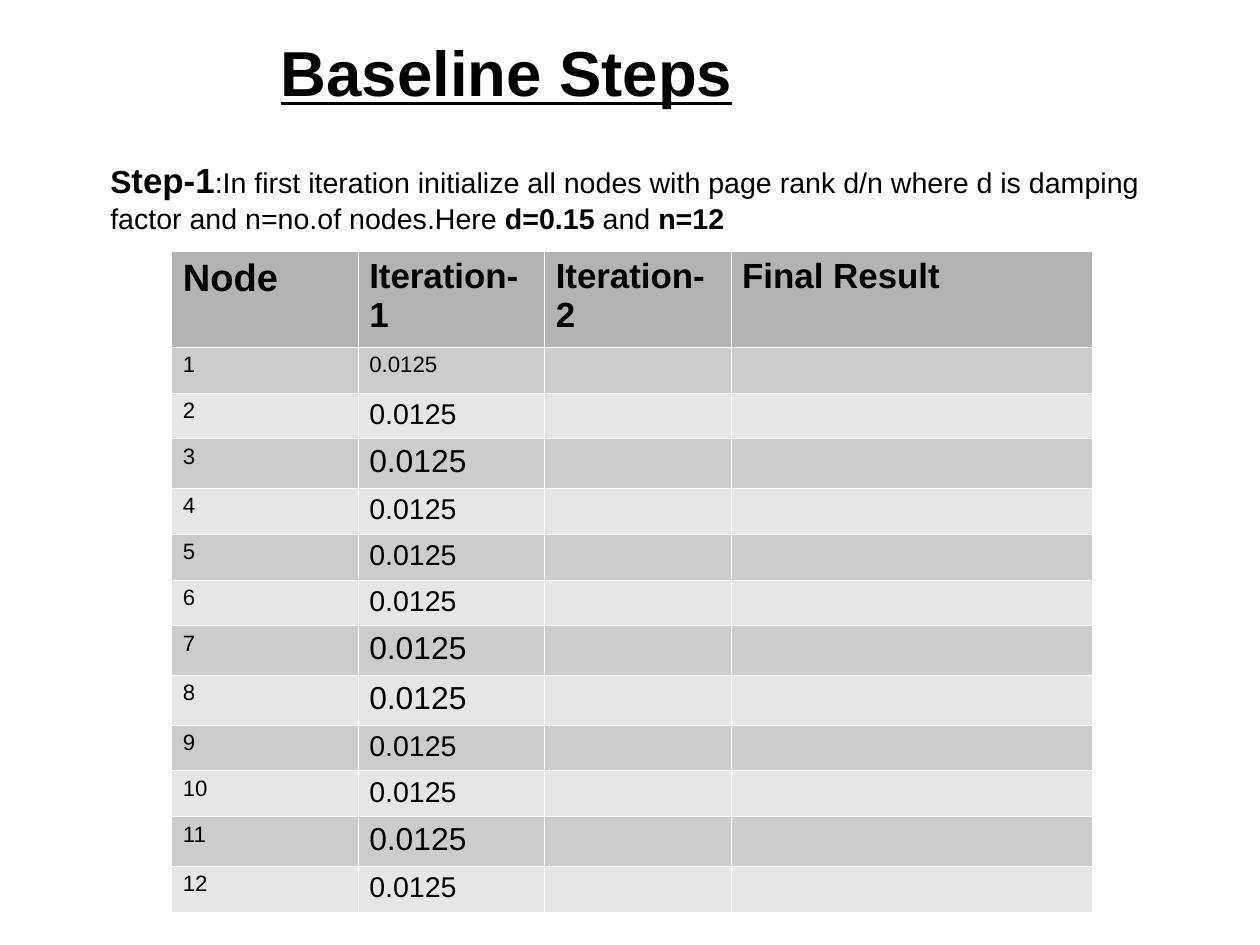
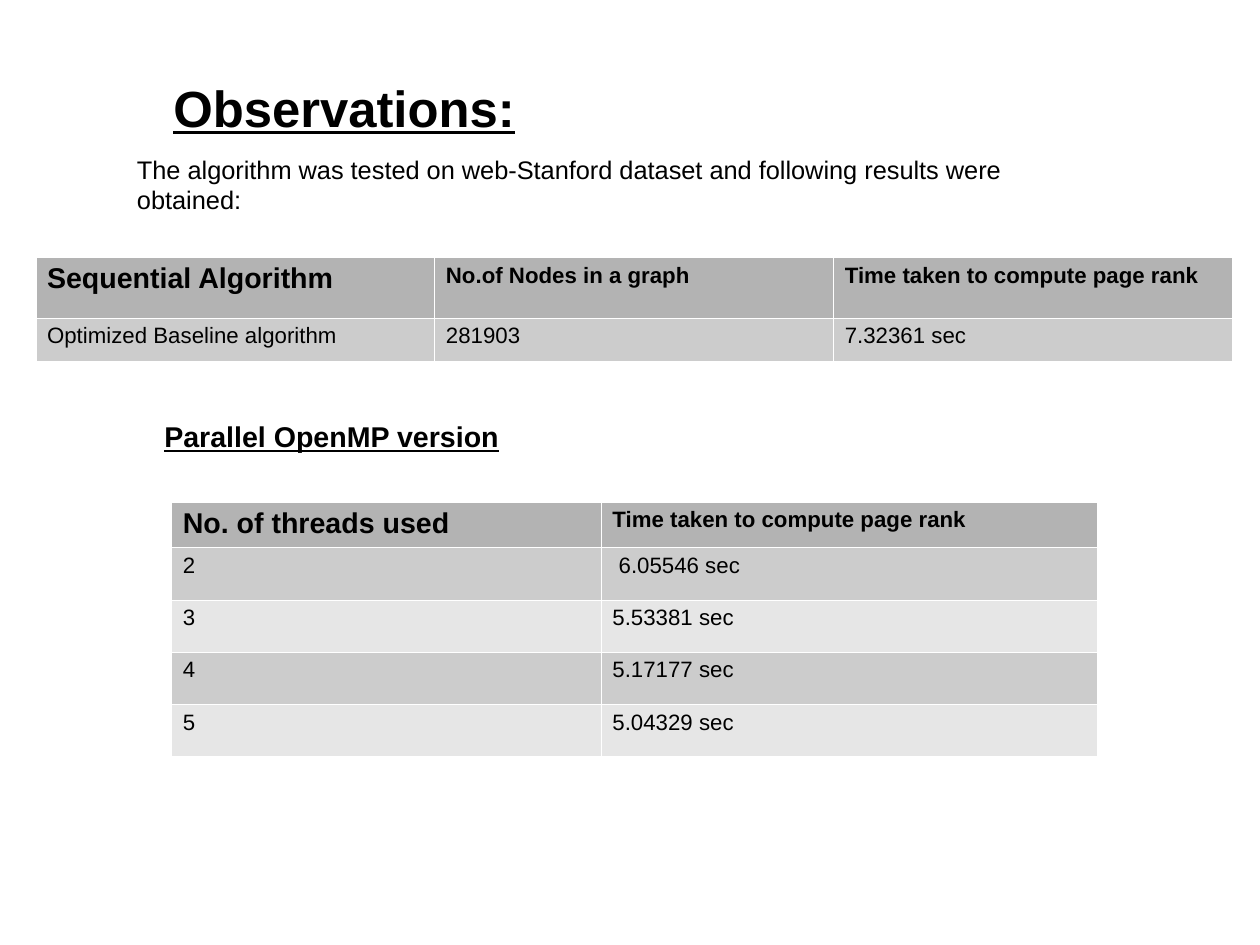
"""Build two page-rank slides: the baseline steps and the observations."""
import lxml.etree
import pptx
import pptx.dml.color
import pptx.enum.text
import pptx.oxml.ns
import pptx.util

COLORS = {"text": "000000", "border": "FFFFFF", "header": "B3B3B3",
          "odd": "CCCCCC", "even": "E6E6E6"}
FONT = "Arial"

prs = pptx.Presentation()
prs.slide_width = pptx.util.Cm(28)
prs.slide_height = pptx.util.Cm(21)
COL = prs.slide_width / 100
ROW = prs.slide_height / 100


def add_runs(tf, runs):
    """Fill the first paragraph with (text, size, bold, underline) runs."""
    p = tf.paragraphs[0]
    for text, size, bold, underline in runs:
        r = p.add_run()
        r.text = text
        r.font.name = FONT
        r.font.size = pptx.util.Pt(size)
        r.font.bold = bold
        r.font.underline = underline
        r.font.color.rgb = pptx.dml.color.RGBColor.from_string(COLORS["text"])


def add_grid(s, left, top, widths, rows):
    """Add a banded table from (height, sizes, texts) rows."""
    heights = [height for height, sizes, texts in rows]
    frame = s.shapes.add_table(len(rows), len(widths), int(left * COL), int(top * ROW),
                               int(sum(widths) * COL), int(sum(heights) * ROW))
    table = frame.table
    table.horz_banding = False
    for column, width in zip(table.columns, widths):
        column.width = int(width * COL)
    for i, (height, sizes, texts) in enumerate(rows):
        table.rows[i].height = int(height * ROW)
        band = "header" if i == 0 else ("even", "odd")[i % 2]
        for j, text in enumerate(texts):
            cell = table.cell(i, j)
            tcPr = cell._tc.get_or_add_tcPr()
            for side in ("a:lnL", "a:lnR", "a:lnT", "a:lnB"):
                ln = lxml.etree.SubElement(tcPr, pptx.oxml.ns.qn(side), w="762")
                fill = lxml.etree.SubElement(ln, pptx.oxml.ns.qn("a:solidFill"))
                lxml.etree.SubElement(fill, pptx.oxml.ns.qn("a:srgbClr"),
                                      val=COLORS["border"])
            cell.fill.solid()
            cell.fill.fore_color.rgb = pptx.dml.color.RGBColor.from_string(COLORS[band])
            if text:
                add_runs(cell.text_frame, [(text, sizes[j], i == 0, False)])
    return table


steps, observations = [prs.slides.add_slide(prs.slide_layouts[6]) for _ in range(2)]

TEXTS = [
    (steps, 21.4, 2.9, 46.8, 8.7, [("Baseline Steps", 40, True, True)]),
    (steps, 7.86, 16.2, 85.75, 8.7, [
        ("S", 20, True, False),
        ("tep-1", 22, True, False),
        (":In first iteration initialize all nodes with page rank d/n where d is "
         "damping factor and n=no.of nodes.Here ", 18, False, False),
        ("d=0.15", 18, True, False),
        (" and ", 18, False, False),
        ("n=12", 18, True, False)]),
    (observations, 12.86, 7.5, 63.3, 8.7, [("Observations:", 32, True, True)]),
    (observations, 9.98, 15.7, 75, 7.13, [
        ("The algorithm was tested on web-Stanford dataset and following results "
         "were obtained:", 16, False, False)]),
    (observations, 12.15, 43.77, 28.6, 6.05, [
        ("Parallel OpenMP version", 18, True, True)]),
]
for s, left, top, width, height, runs in TEXTS:
    sp = s.shapes.add_textbox(int(left * COL), int(top * ROW),
                              int(width * COL), int(height * ROW))
    tf = sp.text_frame
    tf.word_wrap = True
    tf.auto_size = pptx.enum.text.MSO_AUTO_SIZE.SHAPE_TO_FIT_TEXT
    add_runs(tf, runs)

RANK_SIZES = [14, 18, 20, 18, 18, 18, 20, 20, 18, 18, 20, 18]
ROW_HEIGHTS = {14: 4.85, 18: 4.85, 20: 5.22}
rank_rows = [(10, [24, 22, 22, 22], ["Node", "Iteration-1", "Iteration-2", "Final Result"])]
for node, size in enumerate(RANK_SIZES, 1):
    rank_rows.append((ROW_HEIGHTS[size], [14, size], [str(node), "0.0125", "", ""]))
add_grid(steps, 13.6, 26.62, [14.8, 14.8, 14.8, 28.66], rank_rows)

add_grid(observations, 2.83, 27.21, [31.66] * 3, [
    (6.4, [18, 14, 14], ["Sequential Algorithm", "No.of Nodes in a graph",
                         "Time taken to compute page rank"]),
    (4.65, [14] * 3, ["Optimized Baseline algorithm", "281903", "7.32361 sec"])])

THREAD_TIMES = {"2": "6.05546 sec", "3": "5.53381 sec",
                "4": "5.17177 sec", "5": "5.04329 sec"}
thread_rows = [(4.7, [18, 14], ["No. of threads used", "Time taken to compute page rank"])]
for threads, time in THREAD_TIMES.items():
    thread_rows.append((5.53, [14, 14], [threads, time]))
table = add_grid(observations, 13.6, 53.08, [34.1, 39.38], thread_rows)
table.cell(1, 1).margin_left = int(1.4 * COL)

prs.save("out.pptx")
